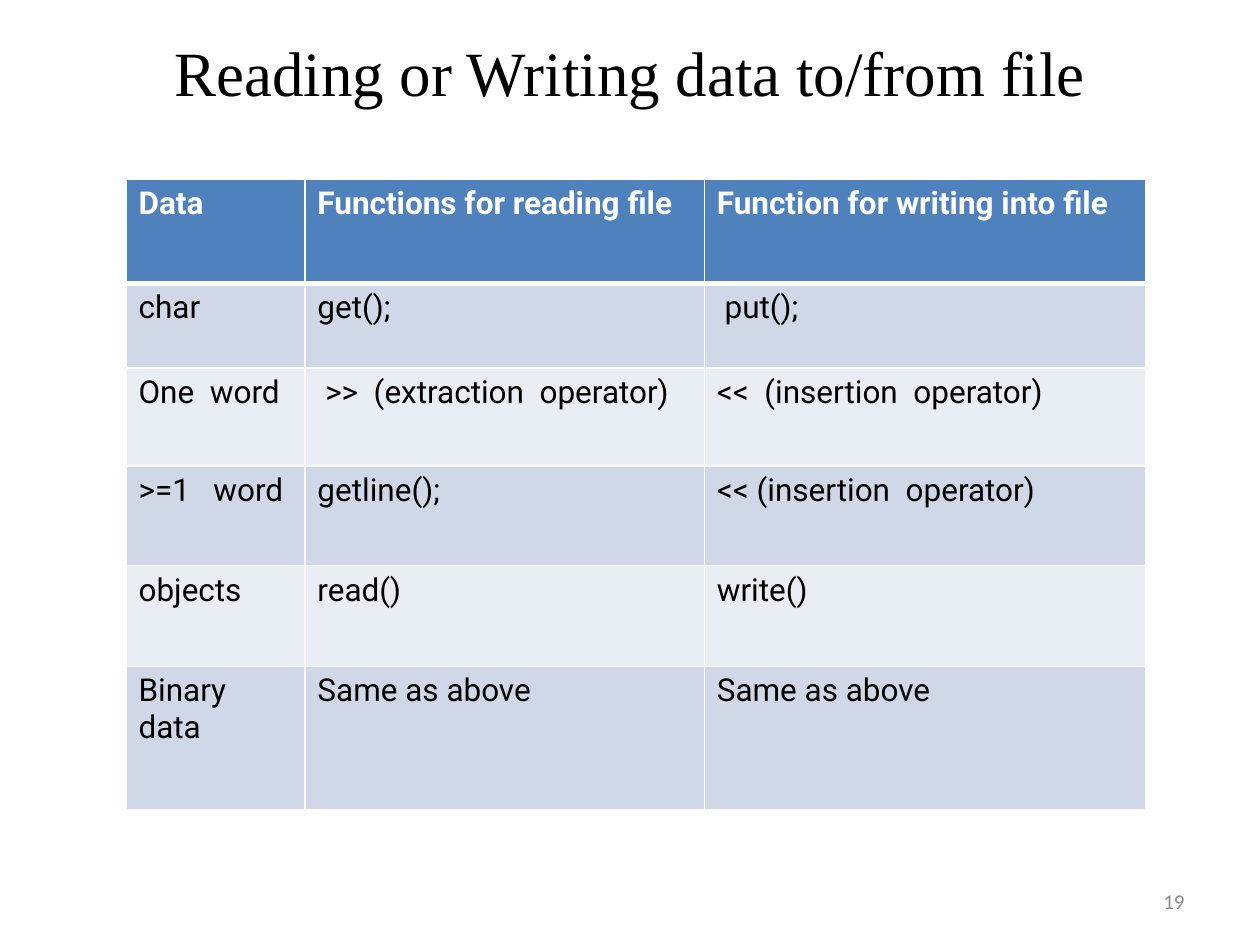
"""Build a slide with a table of file reading and writing functions."""
from lxml import etree
from pptx import Presentation
from pptx.dml.color import RGBColor
from pptx.enum.text import MSO_ANCHOR, PP_ALIGN
from pptx.oxml.ns import qn
from pptx.util import Inches, Pt

MIDDLE = MSO_ANCHOR.MIDDLE
CENTER, RIGHT = PP_ALIGN.CENTER, PP_ALIGN.RIGHT
BLACK = RGBColor(0x00, 0x00, 0x00)
WHITE = RGBColor(0xFF, 0xFF, 0xFF)
GRAY = RGBColor(0x8C, 0x8C, 0x8C)
HEADER_BLUE = RGBColor(0x4F, 0x81, 0xBD)
BANDS = (RGBColor(0xE9, 0xED, 0xF4), RGBColor(0xD0, 0xD8, 0xE8))

COLUMN_WIDTHS = (1.42, 3.17, 3.5)
ROW_HEIGHTS = (0.83, 0.67, 0.78, 0.79, 0.8, 1.14)
ROWS = (
    ("Data", "Functions for reading file", "Function for writing into file"),
    ("char", "get();", " put();"),
    ("One  word", " >>  (extraction  operator)", "<<  (insertion  operator)"),
    (">=1   word", "getline();", "<< (insertion  operator)"),
    ("objects", "read()", "write()"),
    ("Binary data ", "Same as above", "Same as above"),
)


def write_text(text_frame, text, font_name, size, color, bold=False, align=None):
    """Set the text of a frame and format its runs."""
    text_frame.text = text
    for paragraph in text_frame.paragraphs:
        paragraph.alignment = align
        for run in paragraph.runs:
            run.font.name = font_name
            run.font.size = Pt(size)
            run.font.bold = bold
            run.font.color.rgb = color


def set_borders(cell, bottom_width, top_width):
    """Draw white borders around a cell."""
    properties = cell._tc.get_or_add_tcPr()
    for side, width in (("L", 1), ("R", 1), ("T", top_width), ("B", bottom_width)):
        line = etree.SubElement(properties, qn("a:ln" + side), w=str(Pt(width)))
        fill = etree.SubElement(line, qn("a:solidFill"))
        etree.SubElement(fill, qn("a:srgbClr"), val=str(WHITE))


def place_title(slide, left, top, width, height):
    """Move and format the title placeholder."""
    title = slide.shapes.title
    title.left, title.top = Inches(left), Inches(top)
    title.width, title.height = Inches(width), Inches(height)
    title.text_frame.vertical_anchor = MIDDLE
    write_text(title.text_frame, "Reading or Writing data to/from file",
               "Times New Roman", 36, BLACK, align=CENTER)


def place_table(slide, left, top):
    """Add the table of functions with its corner at the given point."""
    table = slide.shapes.add_table(
        len(ROWS), len(COLUMN_WIDTHS), Inches(left), Inches(top),
        Inches(sum(COLUMN_WIDTHS)), Inches(sum(ROW_HEIGHTS))).table
    for column, width in zip(table.columns, COLUMN_WIDTHS):
        column.width = Inches(width)
    for row_index, (row, height) in enumerate(zip(table.rows, ROW_HEIGHTS)):
        row.height = Inches(height)
        is_header = row_index == 0
        for cell, text in zip(row.cells, ROWS[row_index]):
            set_borders(cell, 3 if is_header else 1, 3 if row_index == 1 else 1)
            cell.fill.solid()
            cell.fill.fore_color.rgb = HEADER_BLUE if is_header else BANDS[row_index % 2]
            write_text(cell.text_frame, text, "Roboto", 18,
                       WHITE if is_header else BLACK, bold=is_header)


def place_page_number(slide, left, top, width, height):
    """Add the page number at the right of its box."""
    box = slide.shapes.add_textbox(Inches(left), Inches(top), Inches(width), Inches(height))
    box.text_frame.word_wrap = True
    box.text_frame.vertical_anchor = MIDDLE
    write_text(box.text_frame, "19", "Calibri", 12, GRAY, align=RIGHT)


presentation = Presentation()
presentation.slide_width, presentation.slide_height = Inches(10), Inches(7.5)
slide = presentation.slides.add_slide(presentation.slide_layouts[5])
place_title(slide, 0.5, 0.3, 9, 0.53)
place_table(slide, 1, 1.42)
place_page_number(slide, 7.17, 6.95, 2.33, 0.4)
presentation.save("out.pptx")
